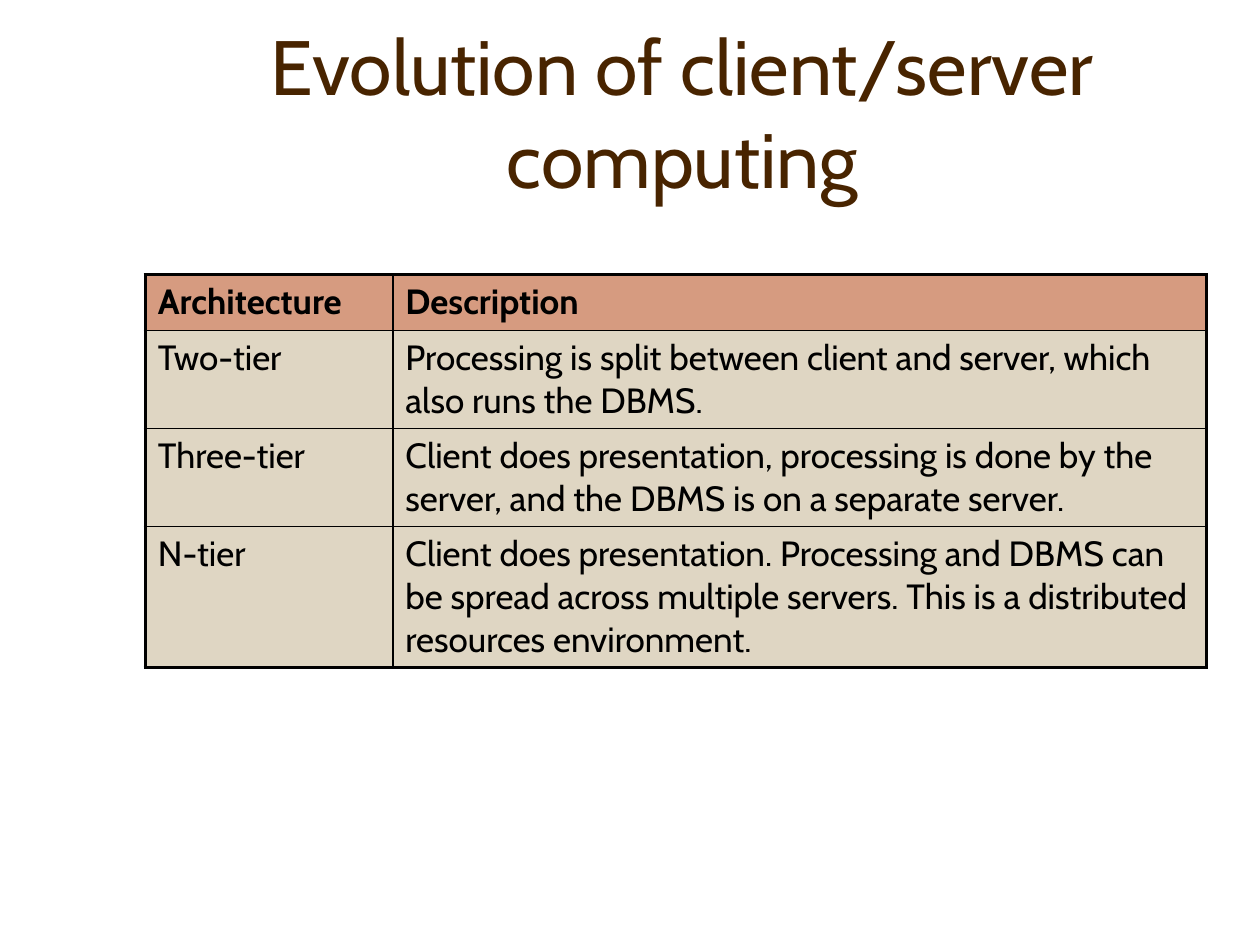
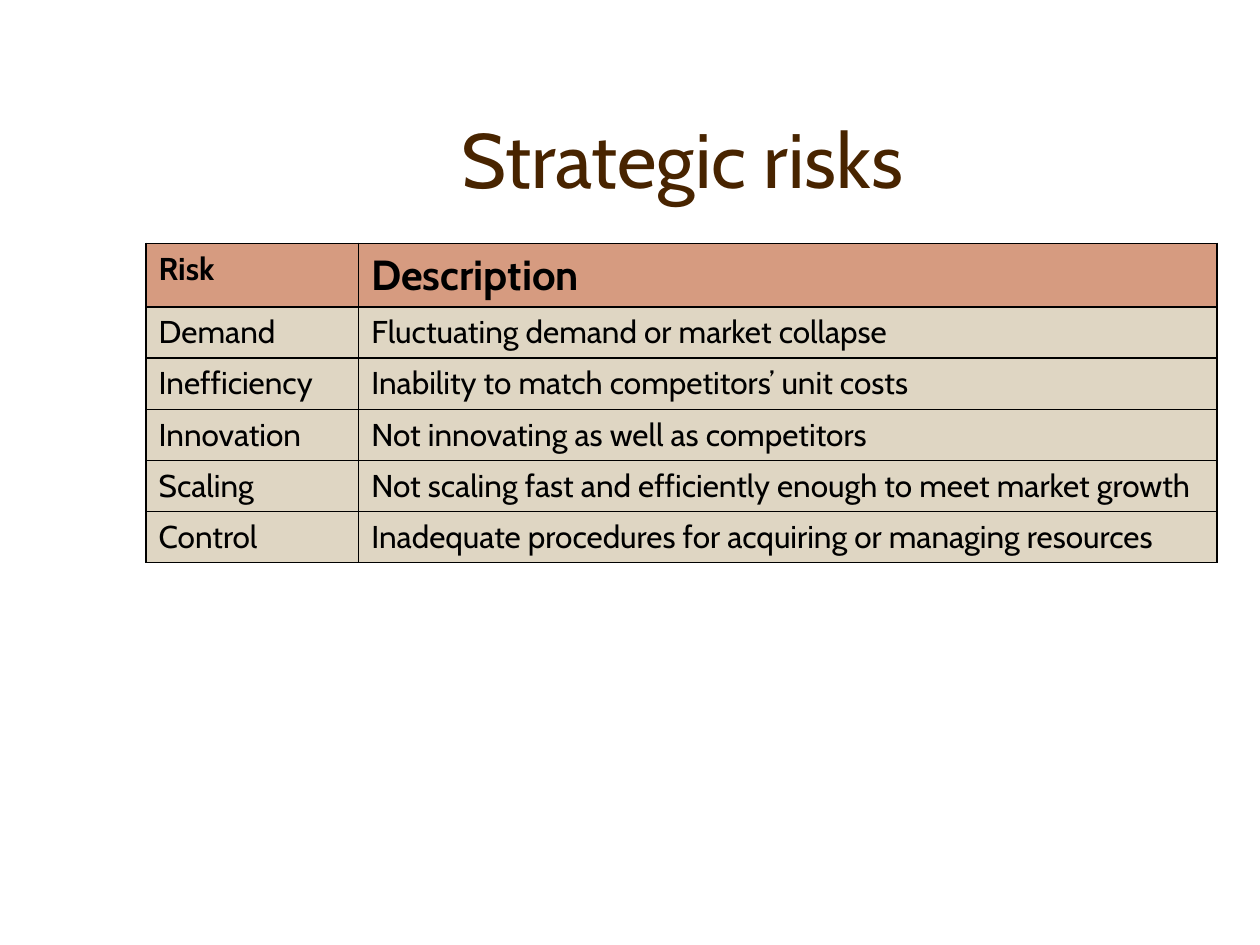
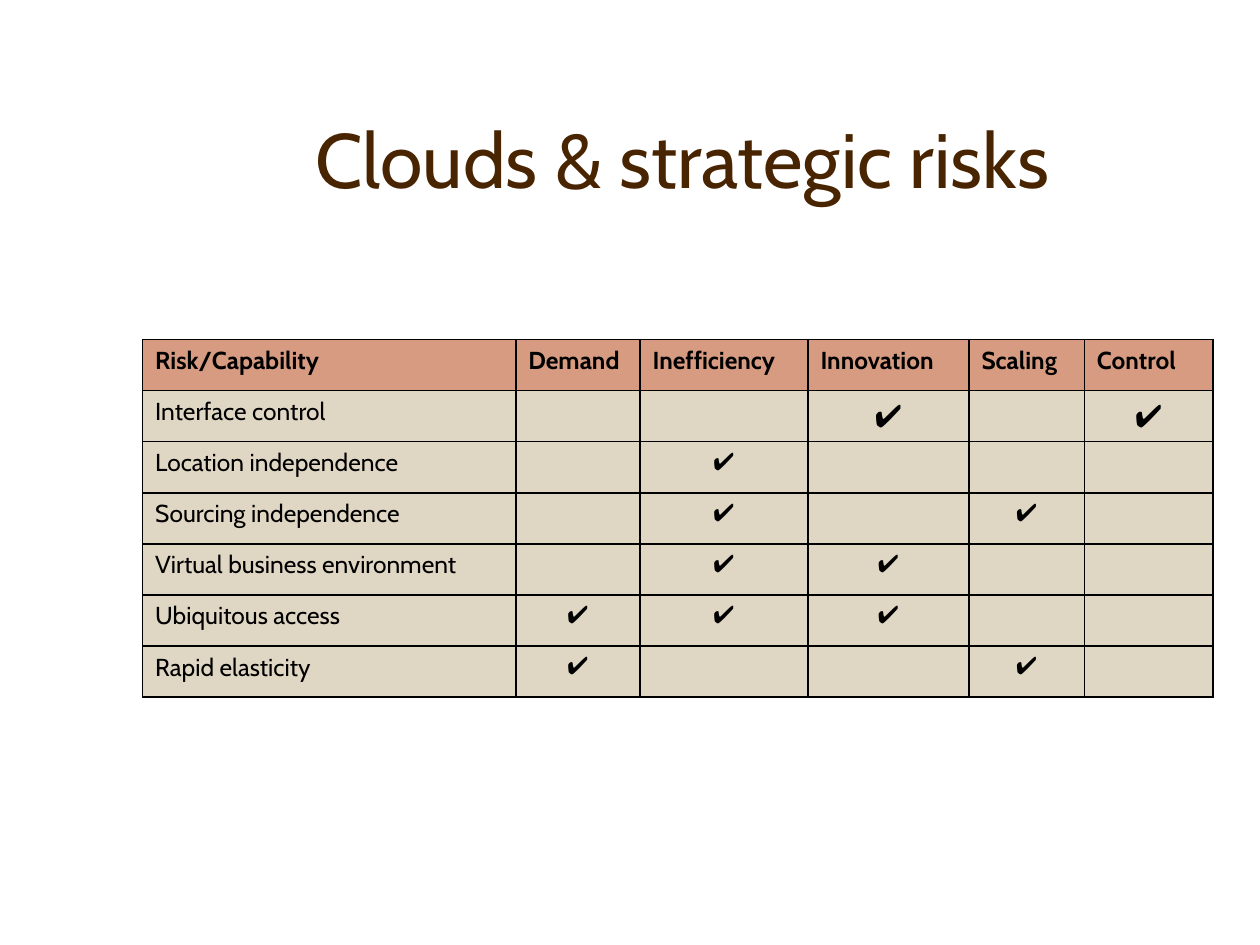
"""Three slides, each a title above a ruled table."""
from lxml import etree
from pptx import Presentation
from pptx.dml.color import RGBColor
from pptx.enum import text
from pptx.oxml.ns import qn
from pptx.util import Pt

INK, BROWN, HEAD, BODY = "000000", "482400", "D69B80", "DFD6C3"
FONT, TICK_FONT = "Cabin", "Cambria"
TITLE_BOX = (84, 30, 612, 90)
TICK = "\u2714"


def colour(hex_code):
    """Turn a hex string into a colour."""
    return RGBColor.from_string(hex_code)


def apply(target, **values):
    """Set each named attribute on the target."""
    for name, value in values.items():
        setattr(target, name, value)


def write(frame, words, size, ink, bold=False, font=FONT, align=None):
    """Put one formatted paragraph into a text frame and return it."""
    para = frame.paragraphs[0]
    para.alignment = align
    span = para.add_run()
    span.text = words
    apply(span.font, name=font, size=Pt(size), bold=bold)
    span.font.color.rgb = colour(ink)
    return para


def titled_slide(deck, title):
    """Add a title-only slide with the shared title style."""
    slide = deck.slides.add_slide(deck.slide_layouts[5])
    box = slide.shapes.title
    left, top, width, height = map(Pt, TITLE_BOX)
    apply(box, left=left, top=top, width=width, height=height)
    apply(box.text_frame, word_wrap=True, auto_size=text.MSO_AUTO_SIZE.NONE,
          vertical_anchor=text.MSO_ANCHOR.BOTTOM)
    write(box.text_frame, title, 44, BROWN, align=text.PP_ALIGN.CENTER)
    return slide


def rule_cell(cell, widths):
    """Draw the left, right, top and bottom rules of a cell."""
    props = cell._tc.get_or_add_tcPr()
    for side, width in zip("LRTB", widths):
        line = etree.SubElement(props, qn(f"a:ln{side}"), w=str(Pt(width)))
        fill = etree.SubElement(line, qn("a:solidFill"))
        etree.SubElement(fill, qn("a:srgbClr"), val=INK)


def space_before(para, percent):
    """Give a paragraph a space before it as a share of the line."""
    space = etree.SubElement(para._p.get_or_add_pPr(), qn("a:spcBef"))
    etree.SubElement(space, qn("a:spcPct"), val=str(percent * 1000))


def ruled_table(slide, left, top, columns, heights, rows, style, outer=1, space=0):
    """Add a table; style(row, column) gives the text format of a cell."""
    frame = slide.shapes.add_table(len(rows), len(columns), Pt(left), Pt(top),
                                   Pt(sum(columns)), Pt(sum(heights)))
    table = frame.table
    apply(table, first_row=False, horz_banding=False)
    for column, width in zip(table.columns, columns):
        column.width = Pt(width)
    for row, height in zip(table.rows, heights):
        row.height = Pt(height)
    last_row, last_column = len(rows) - 1, len(columns) - 1
    for r, row in enumerate(rows):
        for c, words in enumerate(row):
            cell = table.cell(r, c)
            edges = (c == 0, c == last_column, r == 0, r == last_row)
            rule_cell(cell, [outer if edge else 1 for edge in edges])
            cell.fill.solid()
            cell.fill.fore_color.rgb = colour(BODY if r else HEAD)
            if words:
                para = write(cell.text_frame, words, ink=INK, bold=r == 0,
                             **style(r, c))
                if space:
                    space_before(para, space)


def architecture_slide(deck):
    """Build the table of client/server architectures."""
    rows = [
        ("Architecture", "Description"),
        ("Two-tier", "Processing is split between client and server, "
                     "which also runs the DBMS."),
        ("Three-tier", "Client does presentation, processing is done by the "
                       "server, and the DBMS is on a separate server."),
        ("N-tier", "Client does presentation. Processing and DBMS can be "
                   "spread across multiple servers. This is a distributed "
                   "resources environment."),
    ]
    slide = titled_slide(deck, "Evolution of client/server computing")
    ruled_table(slide, 83, 157, (141.5, 465), (32, 56, 56, 77), rows,
                lambda r, c: {"size": 20}, outer=2.25, space=20)


def risk_slide(deck):
    """Build the table of strategic risks."""
    rows = [
        ("Risk", "Description"),
        ("Demand", "Fluctuating demand or market collapse"),
        ("Inefficiency", "Inability to match competitors\u2019 unit costs"),
        ("Innovation", "Not innovating as well as competitors"),
        ("Scaling", "Not scaling fast and efficiently enough to meet market growth"),
        ("Control", "Inadequate procedures for acquiring or managing resources"),
    ]
    slide = titled_slide(deck, "Strategic risks")
    ruled_table(slide, 83.5, 139, (121.5, 490.5), [36.5] + [29.2] * 5, rows,
                lambda r, c: {"size": 24 if (r, c) == (0, 1) else 18})


def cloud_slide(deck):
    """Build the grid of cloud capabilities against risks."""
    risks = ("Demand", "Inefficiency", "Innovation", "Scaling", "Control")
    eased = {
        "Interface control": ("Innovation", "Control"),
        "Location independence": ("Inefficiency",),
        "Sourcing independence": ("Inefficiency", "Scaling"),
        "Virtual business environment": ("Inefficiency", "Innovation"),
        "Ubiquitous access": ("Demand", "Inefficiency", "Innovation"),
        "Rapid elasticity": ("Demand", "Scaling"),
    }
    rows = [("Risk/Capability", *risks)]
    for capability, hits in eased.items():
        rows.append((capability, *(TICK if risk in hits else "" for risk in risks)))

    def style(r, c):
        """Centre the ticks; those of the first capability are larger."""
        if r == 0 or c == 0:
            return {"size": 14}
        size, font = (18, FONT) if r == 1 else (14, TICK_FONT)
        return {"size": size, "font": font, "align": text.PP_ALIGN.CENTER}

    slide = titled_slide(deck, "Clouds & strategic risks")
    ruled_table(slide, 81.5, 194, (213.25, 71, 96, 92, 66, 73.5),
                [29.2] * len(rows), rows, style)


def main():
    """Build and save the deck."""
    deck = Presentation()
    apply(deck, slide_width=Pt(720), slide_height=Pt(540))
    for build in (architecture_slide, risk_slide, cloud_slide):
        build(deck)
    deck.save("out.pptx")


main()
